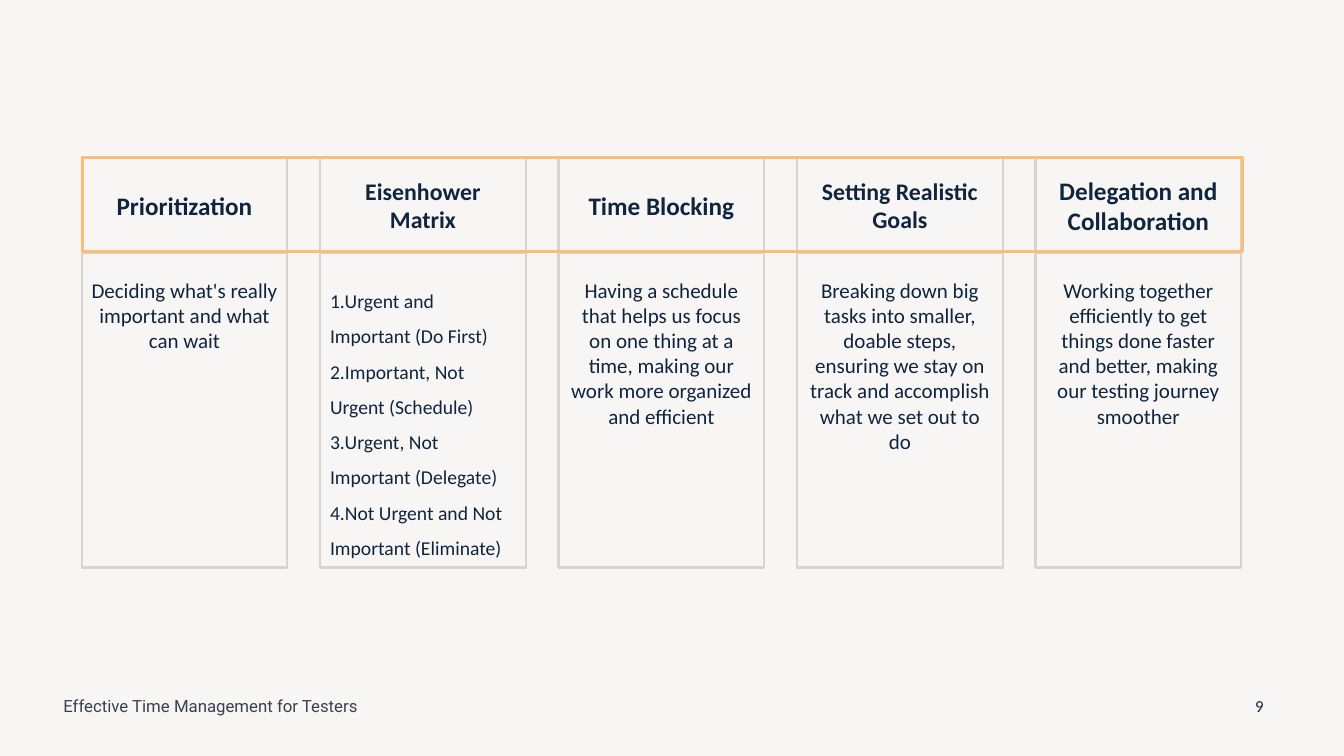
from dataclasses import dataclass

from pptx import Presentation
from pptx.dml.color import RGBColor
from pptx.enum import shapes, text
from pptx.util import Inches, Pt


@dataclass(frozen=True)
class Theme:
    background: str = "F8F6F5"
    ink: str = "0F253E"
    footer_ink: str = "374151"
    border: str = "DCD3CC"
    accent: str = "FABE79"
    font: str = "Calibri"
    footer_font: str = "Roboto"
    heading_size: float = 18
    long_heading_size: float = 17
    body_size: float = 15
    list_size: float = 14
    footer_size: float = 12


THEME = Theme()
CENTER = text.PP_ALIGN.CENTER
LEFT = text.PP_ALIGN.LEFT

STRATEGIES = [
    ("Prioritization", THEME.heading_size,
     ["Deciding what's really important and what can wait"]),
    ("Eisenhower Matrix", THEME.long_heading_size,
     ["1.Urgent and Important (Do First)",
      "2.Important, Not Urgent (Schedule)",
      "3.Urgent, Not Important (Delegate)",
      "4.Not Urgent and Not Important (Eliminate)"]),
    ("Time Blocking", THEME.heading_size,
     ["Having a schedule that helps us focus on one thing at a time, "
      "making our work more organized and efficient"]),
    ("Setting Realistic Goals", THEME.long_heading_size,
     ["Breaking down big tasks into smaller, doable steps, ensuring we stay "
      "on track and accomplish what we set out to do"]),
    ("Delegation and Collaboration", THEME.heading_size,
     ["Working together efficiently to get things done faster and better, "
      "making our testing journey smoother"]),
]


def add_frame(slide, left, top, width, height, color, weight):
    shape = slide.shapes.add_shape(
        shapes.MSO_SHAPE.RECTANGLE,
        Inches(left), Inches(top), Inches(width), Inches(height))
    shape.shadow.inherit = False
    shape.fill.background()
    shape.line.color.rgb = RGBColor.from_string(color)
    shape.line.width = Pt(weight)
    return shape


def write(shape, lines, size, align=CENTER, anchor=text.MSO_ANCHOR.MIDDLE,
          bold=False, spacing=1.0, font=THEME.font, color=THEME.ink):
    frame = shape.text_frame
    frame.word_wrap = True
    frame.vertical_anchor = anchor
    frame.text = "\n".join(lines)
    for paragraph in frame.paragraphs:
        paragraph.alignment = align
        paragraph.line_spacing = spacing
        paragraph.font.name = font
        paragraph.font.size = Pt(size)
        paragraph.font.bold = bold
        paragraph.font.color.rgb = RGBColor.from_string(color)


def add_strategy(slide, left, top, width, height, heading_height, strategy):
    heading, heading_size, lines = strategy
    heading_box = add_frame(slide, left, top, width, heading_height,
                            THEME.border, 1.5)
    write(heading_box, [heading], heading_size, bold=True)

    body_box = add_frame(slide, left, top + heading_height, width,
                         height - heading_height, THEME.border, 1.5)
    body_box.text_frame.margin_top = Inches(0.24)
    is_list = len(lines) > 1
    write(body_box, lines,
          THEME.list_size if is_list else THEME.body_size,
          align=LEFT if is_list else CENTER,
          anchor=text.MSO_ANCHOR.TOP,
          spacing=1.5 if is_list else 1.0)


def add_strategies(slide, left, top, width, height):
    column_width, heading_height = 2.04, 0.95
    step = (width - column_width) / (len(STRATEGIES) - 1)
    for index, strategy in enumerate(STRATEGIES):
        add_strategy(slide, left + index * step, top, column_width, height,
                     heading_height, strategy)
    add_frame(slide, left + 0.01, top, width, heading_height - 0.01,
              THEME.accent, 2.25)


def add_footer(slide, left, top, width, height):
    title_width, number_width = 4.5, 0.5
    title = slide.shapes.add_textbox(
        Inches(left), Inches(top), Inches(title_width), Inches(height))
    write(title, ["Effective Time Management for Testers"], THEME.footer_size,
          align=LEFT, font=THEME.footer_font, color=THEME.footer_ink)
    number = slide.shapes.add_textbox(
        Inches(left + width - number_width), Inches(top),
        Inches(number_width), Inches(height))
    write(number, ["9"], THEME.footer_size)


def main():
    presentation = Presentation()
    presentation.slide_width = Inches(13.33)
    presentation.slide_height = Inches(7.5)
    slide = presentation.slides.add_slide(presentation.slide_layouts[6])
    slide.background.fill.solid()
    slide.background.fill.fore_color.rgb = RGBColor.from_string(THEME.background)
    add_strategies(slide, 0.81, 1.56, 11.5, 4.07)
    add_footer(slide, 0.53, 6.8, 12.21, 0.4)
    presentation.save("out.pptx")


if __name__ == "__main__":
    main()
